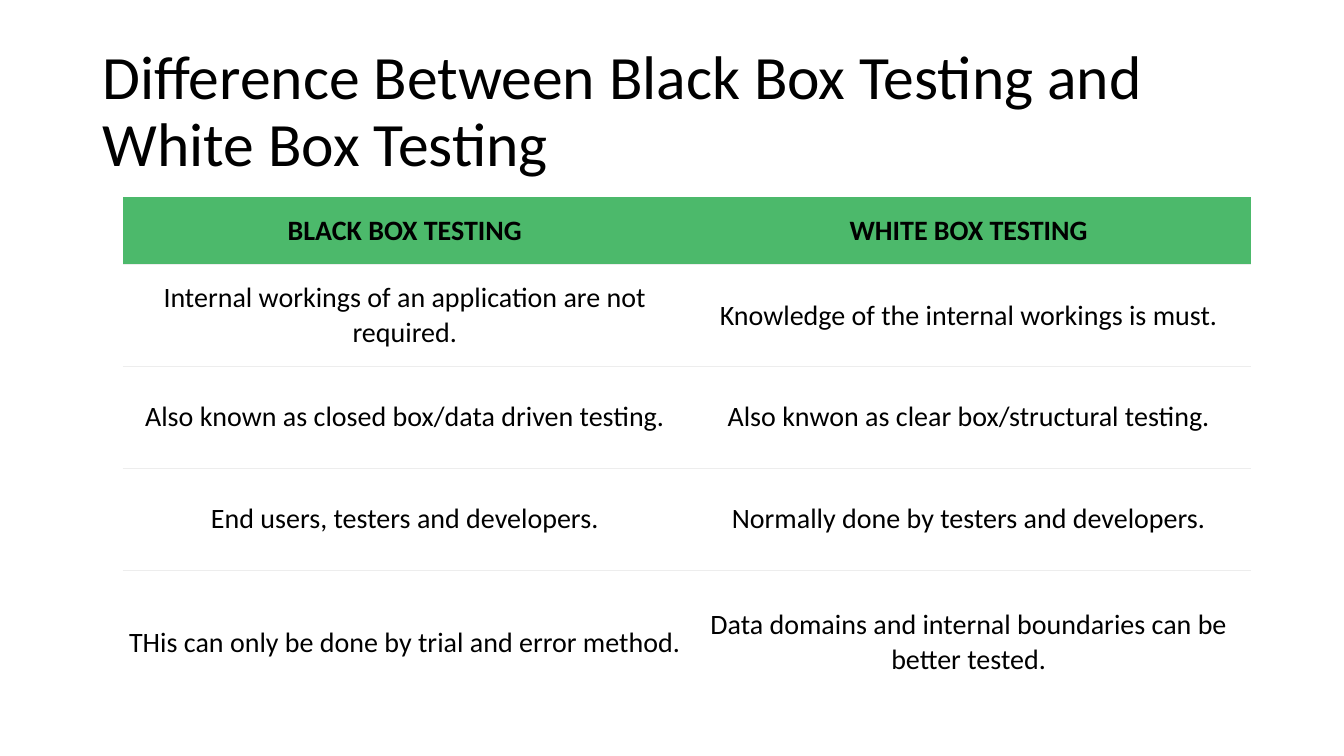
"""Build a slide that compares black box and white box testing in a table."""
import dataclasses

import lxml.etree
import pptx
import pptx.dml.color
import pptx.enum.text
import pptx.oxml.ns
import pptx.util

SCALE = 9525


def px(size):
    return pptx.util.Emu(size * SCALE)


def rgb(code):
    return pptx.dml.color.RGBColor.from_string(code)


@dataclasses.dataclass(frozen=True)
class Theme:
    font: str = "Calibri"
    ink: str = "000000"
    head: str = "4CB96B"
    body: str = "FFFFFF"
    rule: str = "EDEDED"
    title: int = 44
    text: int = 20
    line: float = 0.75


class Deck:
    def __init__(self, theme):
        self.theme = theme
        self.show = pptx.Presentation()
        self.show.slide_width, self.show.slide_height = px(1280), px(720)
        self.slide = self.show.slides.add_slide(self.show.slide_layouts[5])

    def style(self, para, size, align, bold=False):
        para.alignment = align
        for run in para.runs:
            font = run.font
            font.name, font.size, font.bold = self.theme.font, pptx.util.Pt(size), bold
            font.color.rgb = rgb(self.theme.ink)

    def title(self, text, left, top, width, height):
        box = self.slide.shapes.title
        box.left, box.top, box.width, box.height = map(px, (left, top, width, height))
        frame = box.text_frame
        frame.text = text
        frame.word_wrap = True
        frame.auto_size = pptx.enum.text.MSO_AUTO_SIZE.NONE
        frame.vertical_anchor = pptx.enum.text.MSO_ANCHOR.MIDDLE
        para = frame.paragraphs[0]
        para.line_spacing = 0.9
        self.style(para, self.theme.title, pptx.enum.text.PP_ALIGN.LEFT)

    def border(self, cell, edges):
        props = cell._tc.get_or_add_tcPr()
        name = pptx.oxml.ns.qn
        for spot, side in enumerate("LRTB"):
            line = lxml.etree.Element(name(f"a:ln{side}"))
            if side in edges:
                line.set("w", str(int(pptx.util.Pt(self.theme.line))))
                fill = lxml.etree.SubElement(line, name("a:solidFill"))
                lxml.etree.SubElement(fill, name("a:srgbClr"), val=self.theme.rule)
            else:
                lxml.etree.SubElement(line, name("a:noFill"))
            props.insert(spot, line)

    def cell(self, cell, text, head, edges):
        cell.text = text
        cell.vertical_anchor = pptx.enum.text.MSO_ANCHOR.MIDDLE
        pad = px(8 if head else 5)
        cell.margin_left = cell.margin_right = pad
        cell.margin_top = cell.margin_bottom = pad
        cell.fill.solid()
        cell.fill.fore_color.rgb = rgb(self.theme.head if head else self.theme.body)
        self.border(cell, edges)
        para = cell.text_frame.paragraphs[0]
        self.style(para, self.theme.text, pptx.enum.text.PP_ALIGN.CENTER, head)

    def table(self, rows, left, top, width, tall):
        count = len(rows[0])
        frame = self.slide.shapes.add_table(
            len(rows), count, px(left), px(top), px(width), px(sum(tall)))
        grid = frame.table
        grid.first_row = grid.horz_banding = False
        for col in grid.columns:
            col.width = px(width // count)
        for i, texts in enumerate(rows):
            grid.rows[i].height = px(tall[i])
            edges = ("T" if i else "") + ("B" if i < len(rows) - 1 else "")
            for j, text in enumerate(texts):
                self.cell(grid.cell(i, j), text, i == 0, edges)


def main():
    deck = Deck(Theme())
    deck.title("Difference Between Black Box Testing and White Box Testing",
               88, 38, 1104, 139)
    rows = [
        ("BLACK BOX TESTING", "WHITE BOX TESTING"),
        ("Internal workings of an application are not required.",
         "Knowledge of the internal workings is must."),
        ("Also known as closed box/data driven testing.",
         "Also knwon as clear box/structural testing."),
        ("End users, testers and developers.",
         "Normally done by testers and developers."),
        ("THis can only be done by trial and error method.",
         "Data domains and internal boundaries can be better tested."),
    ]
    deck.table(rows, 117, 188, 1074, (64, 97, 97, 97, 138))
    deck.show.save("out.pptx")


if __name__ == "__main__":
    main()
